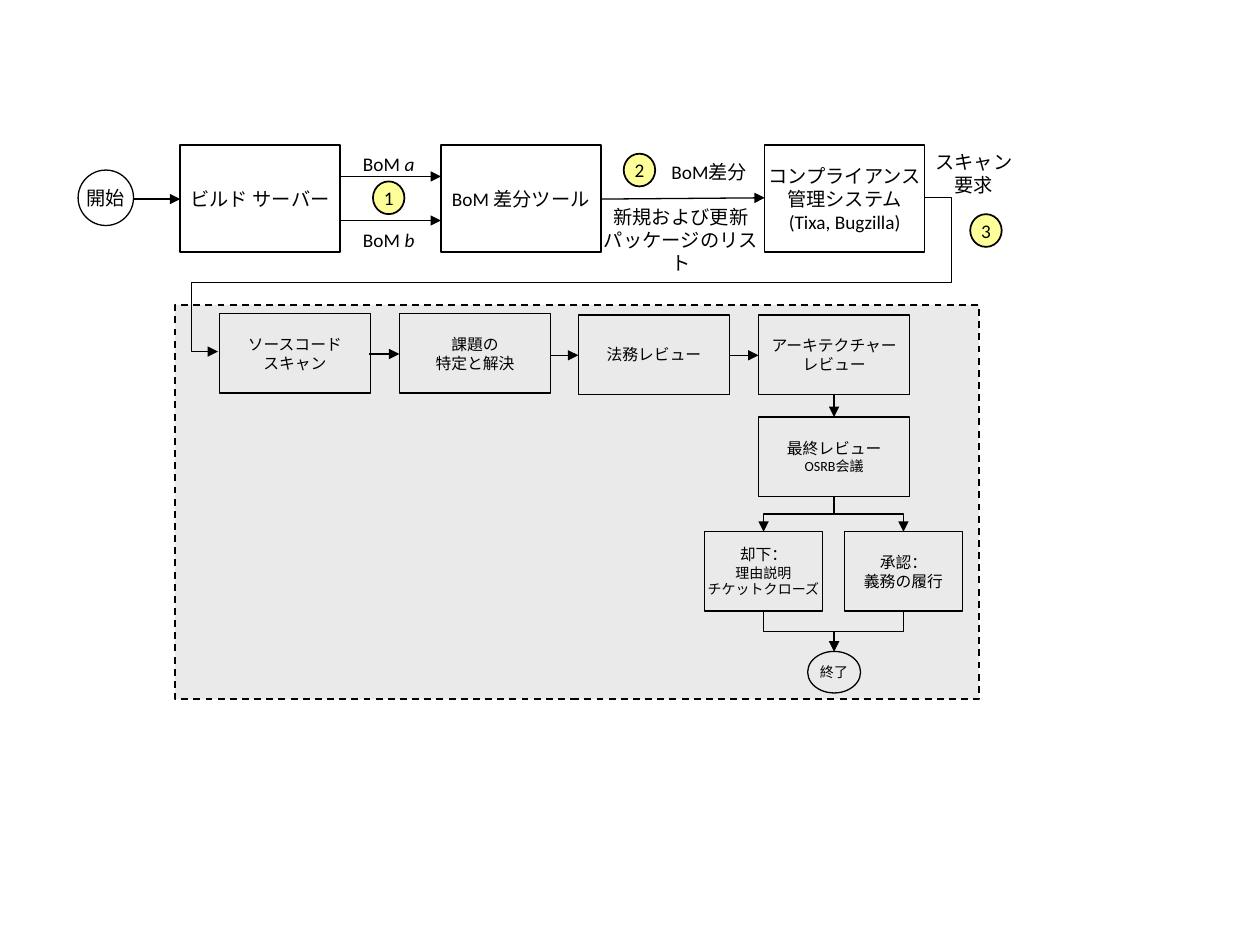
from dataclasses import dataclass

from lxml import etree
from pptx import Presentation
from pptx.dml.color import RGBColor
from pptx.enum.dml import MSO_LINE
from pptx.enum.shapes import MSO_CONNECTOR, MSO_SHAPE
from pptx.enum.text import MSO_ANCHOR, PP_ALIGN
from pptx.oxml.ns import qn
from pptx.util import Inches, Pt

RECT, OVAL = MSO_SHAPE.RECTANGLE, MSO_SHAPE.OVAL
STRAIGHT, ELBOW = MSO_CONNECTOR.STRAIGHT, MSO_CONNECTOR.ELBOW
DASH = MSO_LINE.DASH
MIDDLE, TOP = MSO_ANCHOR.MIDDLE, MSO_ANCHOR.TOP
CENTER = PP_ALIGN.CENTER
FONT, BLACK, GREY, YELLOW = "Calibri", "000000", "EAEAEA", "FFFF99"


@dataclass(frozen=True)
class Run:
    text: str
    size: float
    italic: bool = False


Lines = list[list[Run]]


@dataclass(frozen=True)
class Node:
    left: float
    top: float
    width: float
    height: float
    lines: Lines
    kind: int = RECT
    fill: str | None = None
    weight: float = 0.75


@dataclass(frozen=True)
class Label:
    left: float
    top: float
    width: float
    height: float
    lines: Lines
    wrap: bool = True


@dataclass(frozen=True)
class Link:
    x1: float
    y1: float
    x2: float
    y2: float


def rgb(code: str) -> RGBColor:
    return RGBColor.from_string(code)


def rows(size: float, *texts: str) -> Lines:
    """One run per line, all of one size."""
    return [[Run(text, size)] for text in texts]


def write(frame, lines: Lines, anchor, wrap: bool) -> None:
    frame.word_wrap = wrap
    frame.vertical_anchor = anchor
    for i, line in enumerate(lines):
        para = frame.paragraphs[0] if i == 0 else frame.add_paragraph()
        para.alignment = CENTER
        for part in line:
            run = para.add_run()
            run.text = part.text
            font = run.font
            font.name, font.size = FONT, Pt(part.size)
            font.color.rgb = rgb(BLACK)
            if part.italic:
                font.italic = True


def draw_node(shapes, node: Node):
    shape = shapes.add_shape(node.kind, Inches(node.left), Inches(node.top),
                             Inches(node.width), Inches(node.height))
    shape.shadow.inherit = False
    if node.fill:
        shape.fill.solid()
        shape.fill.fore_color.rgb = rgb(node.fill)
    else:
        shape.fill.background()
    shape.line.color.rgb = rgb(BLACK)
    shape.line.width = Pt(node.weight)
    write(shape.text_frame, node.lines, MIDDLE, False)
    return shape


def draw_label(shapes, label: Label) -> None:
    box = shapes.add_textbox(Inches(label.left), Inches(label.top),
                             Inches(label.width), Inches(label.height))
    write(box.text_frame, label.lines, TOP, label.wrap)


def draw_link(shapes, link: Link, kind=STRAIGHT, end: str = "tailEnd"):
    line = shapes.add_connector(kind, Inches(link.x1), Inches(link.y1),
                                Inches(link.x2), Inches(link.y2))
    line.line.color.rgb = rgb(BLACK)
    line.line.width = Pt(0.75)
    props = line._element.spPr
    etree.SubElement(props.find(qn("a:ln")), qn(f"a:{end}"), type="triangle")
    etree.SubElement(props, qn("a:effectLst"))
    return line


def turn(line, angle: int) -> None:
    line._element.spPr.find(qn("a:xfrm")).set("rot", str(angle * 60000))


def draw_fork(shapes, link: Link) -> None:
    """Elbow that leaves downwards: a turned box about the same centre."""
    mid_x, mid_y = (link.x1 + link.x2) / 2, (link.y1 + link.y2) / 2
    right = link.x2 > link.x1
    half_w = (link.y2 - link.y1) / 2 * (-1 if right else 1)
    half_h = abs(link.x2 - link.x1) / 2
    flat = Link(mid_x - half_w, mid_y - half_h, mid_x + half_w, mid_y + half_h)
    turn(draw_link(shapes, flat, ELBOW), 270 if right else 90)


def draw_return(shapes, link: Link, bends: list[int]) -> None:
    """Five-part elbow from the top row back to the review row."""
    line = draw_link(shapes, link, ELBOW, "headEnd")
    turn(line, 180)
    geom = line._element.spPr.find(qn("a:prstGeom"))
    geom.set("prst", "bentConnector5")
    guides = geom.find(qn("a:avLst"))
    if guides is None:
        guides = etree.SubElement(geom, qn("a:avLst"))
    for i, bend in enumerate(bends, 1):
        etree.SubElement(guides, qn("a:gd"), name=f"adj{i}", fmla=f"val {bend}")


def step(left: float, top: float, lines: Lines) -> Node:
    return Node(left, top, 1.2, 0.63, lines)


def system(left: float, lines: Lines) -> Node:
    return Node(left, 1.15, 1.27, 0.85, lines)


def badge(left: float, top: float, mark: str) -> Node:
    return Node(left, top, 0.25, 0.26, rows(11, mark), OVAL, YELLOW, 1)


AXIS, REJECT, ACCEPT = 6.62, 6.06, 7.17

PANEL = Node(1.39, 2.42, 6.38, 3.13, [], fill=GREY, weight=1)
NODES = [
    Node(0.62, 1.35, 0.44, 0.44, rows(11, "開始"), OVAL),
    system(1.43, rows(11, "ビルド サーバー")),
    system(3.5, rows(11, "BoM 差分ツール")),
    system(6.07, rows(11, "コンプライアンス", "管理システム", "(Tixa, Bugzilla)")),
    step(1.74, 2.49, rows(9, "ソースコード", "スキャン")),
    step(3.17, 2.49, rows(9, "課題の", "特定と解決")),
    step(4.59, 2.5, rows(9, "法務レビュー")),
    step(6.02, 2.5, rows(9, "アーキテクチャー", "レビュー")),
    step(6.02, 3.31, rows(9, "最終レビュー") + rows(8, "OSRB会議")),
    Node(5.59, 4.22, 0.94, 0.63,
         rows(9, "却下：") + rows(8, "理由説明", "チケットクローズ")),
    Node(6.7, 4.22, 0.94, 0.63, rows(9, "承認：", "義務の履行")),
    Node(6.41, 5.17, 0.42, 0.33, rows(8, "終了"), OVAL),
]
BADGES = [badge(2.96, 1.44, "1"), badge(4.95, 1.22, "2"), badge(7.7, 1.7, "3")]
LABELS = [
    Label(2.78, top, 0.61, 0.29, [[Run("BoM ", 11), Run(name, 11, True)]], False)
    for name, top in (("a", 1.16), ("b", 1.76))
] + [
    Label(5.18, 1.22, 0.9, 0.29, rows(11, "BoM差分"), False),
    Label(4.65, 1.58, 1.51, 0.66, rows(11, "新規および更新", "パッケージのリスト")),
    Label(7.24, 1.14, 0.98, 0.47, rows(11, "スキャン", "要求")),
]
LINKS = [
    Link(1.06, 1.58, 1.43, 1.58),
    Link(2.71, 1.4, 3.5, 1.4),
    Link(2.71, 1.75, 3.5, 1.75),
    Link(4.77, 1.58, 6.07, 1.57),
    Link(2.93, 2.81, 3.17, 2.81),
    Link(4.37, 2.82, 4.59, 2.82),
    Link(5.79, 2.82, 6.02, 2.82),
    Link(AXIS, 3.13, AXIS, 3.31),
]
FORKS = [
    fork for side in (REJECT, ACCEPT)
    for fork in (Link(AXIS, 3.94, side, 4.22), Link(side, 4.85, AXIS, 5.17))
]


def main() -> None:
    deck = Presentation()
    deck.slide_width, deck.slide_height = Inches(10), Inches(7.5)
    shapes = deck.slides.add_slide(deck.slide_layouts[6]).shapes
    draw_node(shapes, PANEL).line.dash_style = DASH
    for link in LINKS:
        draw_link(shapes, link)
    for fork in FORKS:
        draw_fork(shapes, fork)
    draw_return(shapes, Link(7.34, 1.57, 1.73, 2.79), [-3800, 45000, 103800])
    for label in LABELS:
        draw_label(shapes, label)
    for node in NODES + BADGES:
        draw_node(shapes, node)
    deck.save("out.pptx")


if __name__ == "__main__":
    main()
